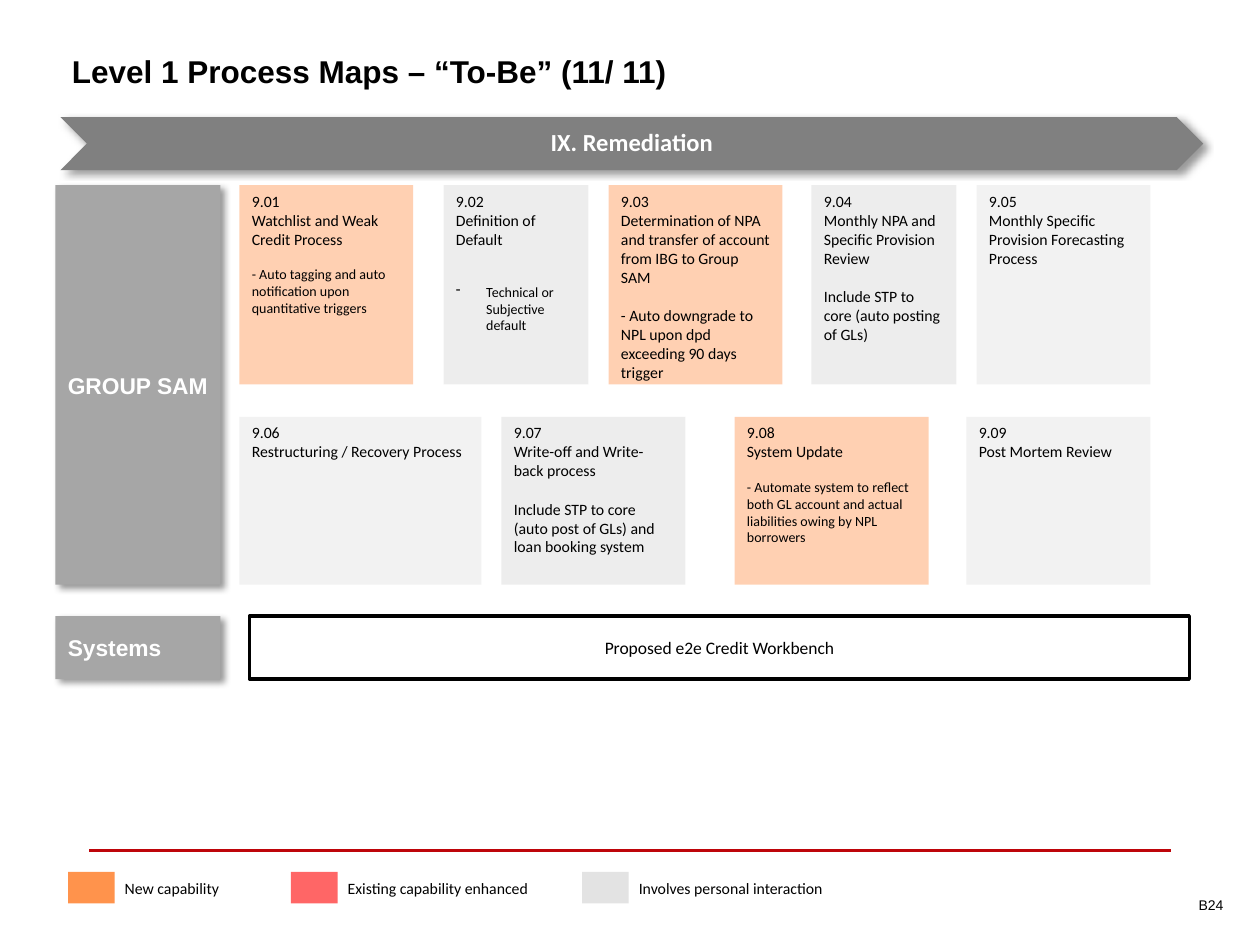
import dataclasses

import pptx
import pptx.util
import pptx.dml.color
import pptx.enum.shapes
import pptx.enum.text
import pptx.oxml
import pptx.oxml.ns

Inches = pptx.util.Inches
Pt = pptx.util.Pt
SHAPES = pptx.enum.shapes.MSO_SHAPE
ALIGN = pptx.enum.text.PP_ALIGN
ANCHOR = pptx.enum.text.MSO_ANCHOR


@dataclasses.dataclass(frozen=True)
class Theme:
    # Fills are (colour, opacity in percent)
    new: tuple = ("FF6600", 30)
    personal: tuple = ("DDDDDD", 50)
    plain: tuple = ("F2F2F2", 100)
    banner: tuple = ("808080", 100)
    lane: tuple = ("A6A6A6", 100)
    rule: str = "BE050A"
    black: str = "000000"
    white: str = "FFFFFF"
    heading_font: str = "Arial"
    body_font: str = "Calibri"
    title_size: float = 18
    banner_size: float = 14
    lane_size: float = 13
    system_size: float = 10
    card_size: float = 9
    small_size: float = 8


THEME = Theme()

# Each card: left, width, fill, number, name, note, note size, space before note
ROWS = [
    (1.47, 1.58, [
        (1.9, 1.38, THEME.new, "9.01", "Watchlist and Weak Credit Process",
         "- Auto tagging and auto notification upon quantitative triggers", 8, 10),
        (3.52, 1.15, THEME.personal, "9.02", "Definition of Default",
         "Technical or Subjective default", 8, 20),
        (4.83, 1.38, THEME.new, "9.03",
         "Determination of NPA and transfer of account from IBG to Group SAM",
         "- Auto downgrade to NPL upon dpd exceeding 90 days trigger", 9, 11),
        (6.44, 1.15, THEME.personal, "9.04", "Monthly NPA and Specific Provision Review",
         "Include STP to core (auto posting of GLs)", 9, 11),
        (7.75, 1.38, THEME.plain, "9.05",
         "Monthly Specific Provision Forecasting Process", "", 9, 0),
    ]),
    (3.31, 1.33, [
        (1.9, 1.92, THEME.plain, "9.06", "Restructuring / Recovery Process", "", 9, 0),
        (3.98, 1.46, THEME.personal, "9.07", "Write-off and Write-back process",
         "Include STP to core (auto post of GLs) and loan booking system", 9, 11),
        (5.83, 1.54, THEME.new, "9.08", "System Update",
         "- Automate system to reflect both GL account and actual liabilities "
         "owing by NPL borrowers", 8, 10),
        (7.67, 1.46, THEME.plain, "9.09", "Post Mortem Review", "", 9, 0),
    ]),
]
BULLETED_CARD = "9.02"

LEGEND = [
    (0.54, ("FF6600", 70), "New capability"),
    (2.31, ("FF0000", 60), "Existing capability enhanced"),
    (4.62, ("DDDDDD", 80), "Involves personal interaction"),
]


def apply_format(target, values):
    for name, value in values.items():
        setattr(target, name, value)


def rgb(colour):
    return pptx.dml.color.RGBColor.from_string(colour)


def add_xml(parent, xml):
    namespace = pptx.oxml.ns.nsdecls("a")
    parent.append(pptx.oxml.parse_xml(xml.replace(" ", f" {namespace} ", 1)))


def write(paragraph, text, size, colour=THEME.black, font=THEME.body_font,
          bold=False, **paragraph_format):
    apply_format(paragraph, {"alignment": ALIGN.LEFT, **paragraph_format})
    run = paragraph.add_run()
    run.text = text
    apply_format(run.font, {"name": font, "size": Pt(size), "bold": bold})
    run.font.color.rgb = rgb(colour)


def add_block(slide, left, top, width, height, fill=None,
              kind=SHAPES.RECTANGLE, anchor=ANCHOR.TOP, shadow=False):
    shape = slide.shapes.add_shape(
        kind, Inches(left), Inches(top), Inches(width), Inches(height))
    shape.shadow.inherit = False
    shape.line.fill.background()
    apply_format(shape.text_frame, {"word_wrap": True, "vertical_anchor": anchor})
    if fill:
        colour, opacity = fill
        shape.fill.solid()
        shape.fill.fore_color.rgb = rgb(colour)
        if opacity < 100:
            colour_element = shape.fill._xPr.find(".//" + pptx.oxml.ns.qn("a:srgbClr"))
            add_xml(colour_element, f'<a:alpha val="{opacity * 1000}"/>')
    else:
        shape.fill.background()
    if shadow:
        effects = shape._element.spPr.find(pptx.oxml.ns.qn("a:effectLst"))
        add_xml(effects, f'<a:outerShdw blurRad="{Pt(4)}" dist="{Pt(3)}" dir="2700000">'
                '<a:srgbClr val="000000"><a:alpha val="40000"/></a:srgbClr></a:outerShdw>')
    return shape


def add_label(slide, left, top, width, height, text, size, **text_format):
    box = slide.shapes.add_textbox(
        Inches(left), Inches(top), Inches(width), Inches(height))
    apply_format(box.text_frame, {"word_wrap": False, "vertical_anchor": ANCHOR.MIDDLE})
    write(box.text_frame.paragraphs[0], text, size, **text_format)
    return box


def add_lane(slide, top, height, text):
    lane = add_block(slide, 0.44, top, 1.31, height, THEME.lane,
                     anchor=ANCHOR.MIDDLE, shadow=True)
    write(lane.text_frame.paragraphs[0], text, THEME.lane_size, THEME.white,
          THEME.heading_font, True)


def add_card(slide, top, height, card):
    left, width, fill, number, name, note, note_size, gap = card
    frame = add_block(slide, left, top, width, height, fill).text_frame
    write(frame.paragraphs[0], number, THEME.card_size)
    write(frame.add_paragraph(), name, THEME.card_size)
    if note:
        paragraph = frame.add_paragraph()
        write(paragraph, note, note_size, space_before=Pt(gap))
        if number == BULLETED_CARD:
            properties = paragraph._p.get_or_add_pPr()
            indent = Inches(0.24)
            properties.set("marL", str(indent))
            properties.set("indent", str(-indent))
            add_xml(properties, '<a:buChar char="-"/>')


def add_title(slide, text):
    title = slide.shapes.title
    apply_format(title, {"left": Inches(0.47), "top": Inches(0.24),
                         "width": Inches(9.07), "height": Inches(0.65)})
    apply_format(title.text_frame, {"vertical_anchor": ANCHOR.MIDDLE, "word_wrap": True,
                                    "auto_size": pptx.enum.text.MSO_AUTO_SIZE.NONE})
    write(title.text_frame.paragraphs[0], text, THEME.title_size,
          font=THEME.heading_font, bold=True)


def add_footer_rule(slide):
    rule = slide.shapes.add_connector(
        pptx.enum.shapes.MSO_CONNECTOR.STRAIGHT,
        Inches(0.71), Inches(6.75), Inches(9.29), Inches(6.75))
    rule.line.color.rgb = rgb(THEME.rule)
    rule.line.width = Pt(1.5)
    add_xml(rule._element.spPr, "<a:effectLst />")


def main():
    presentation = pptx.Presentation()
    apply_format(presentation, {"slide_width": Inches(10), "slide_height": Inches(7.5)})
    slide = presentation.slides.add_slide(presentation.slide_layouts[5])

    # Title and phase banner
    add_title(slide, "Level 1 Process Maps – “To-Be” (11/ 11)")
    banner = add_block(slide, 0.48, 0.93, 9.07, 0.42, THEME.banner,
                       SHAPES.CHEVRON, ANCHOR.MIDDLE, shadow=True)
    apply_format(banner.text_frame, {"margin_top": Inches(0.02),
                                     "margin_bottom": Inches(0.02)})
    write(banner.text_frame.paragraphs[0], "IX. Remediation", THEME.banner_size,
          THEME.white, bold=True, alignment=ALIGN.CENTER, line_spacing=0.9)

    # Process cards
    add_lane(slide, 1.47, 3.17, "GROUP SAM")
    for top, height, cards in ROWS:
        for card in cards:
            add_card(slide, top, height, card)

    # Systems
    add_lane(slide, 4.89, 0.5, "Systems")
    system = add_block(slide, 1.98, 4.89, 7.46, 0.5, anchor=ANCHOR.MIDDLE)
    system.line.color.rgb = rgb(THEME.black)
    system.line.width = Pt(2)
    write(system.text_frame.paragraphs[0], "Proposed e2e Credit Workbench",
          THEME.system_size, alignment=ALIGN.CENTER)

    # Legend and page number
    add_footer_rule(slide)
    for left, fill, text in LEGEND:
        add_block(slide, left, 6.92, 0.37, 0.25, fill)
        label = add_label(slide, left + 0.45, 6.92, 1.5, 0.25, text, THEME.card_size)
        apply_format(label.text_frame, {"margin_left": 0, "margin_right": 0})
    add_label(slide, 8.64, 6.97, 1.17, 0.42, "B24", THEME.small_size,
              font=THEME.heading_font, alignment=ALIGN.RIGHT)

    presentation.save("out.pptx")


if __name__ == "__main__":
    main()
